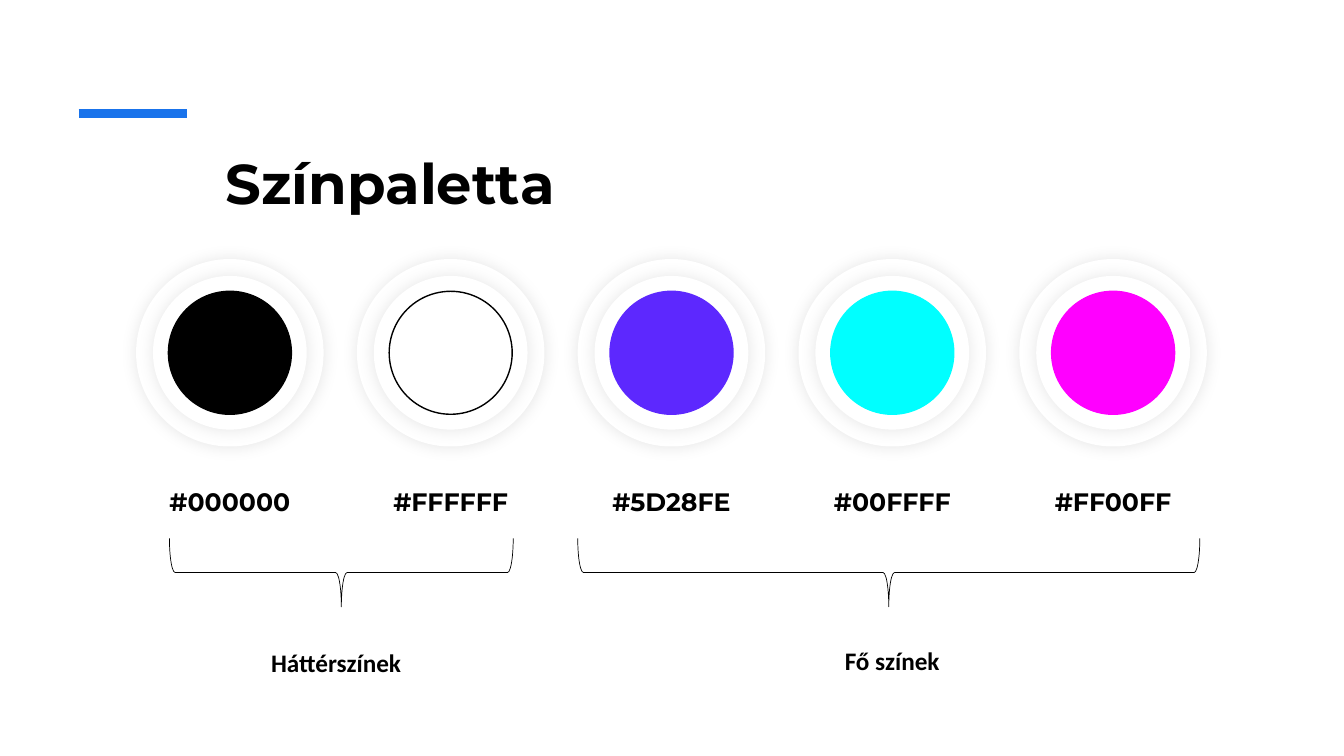
from dataclasses import dataclass

from lxml import etree
from pptx import Presentation, util as u
from pptx.dml.color import RGBColor
from pptx.enum import shapes as sh, text as tx
from pptx.oxml.ns import qn


@dataclass(frozen=True)
class Theme:
    ink: str = "000000"
    paper: str = "FFFFFF"
    accent: str = "1973EB"
    head: str = "Montserrat"
    body: str = "Calibri"
    title: int = 40
    label: int = 18


T = Theme()
WIDE, HIGH = 13.33, 7.5
COLORS = ["000000", "FFFFFF", "5D28FE", "00FFFF", "FF00FF"]
EDGES = {"FFFFFF": T.ink}
PITCH, DISC = 2.19, 1.86


def inch(*vals):
    return [u.Inches(v) for v in vals]


def effects(shape):
    return etree.SubElement(shape._element.spPr, qn("a:effectLst"))


def glow(shape):
    """Add a soft, centred shadow."""
    shadow = etree.SubElement(effects(shape), qn("a:outerShdw"),
                              blurRad=str(u.Pt(12)), dist="0", dir="0",
                              algn="ctr", rotWithShape="0")
    color = etree.SubElement(shadow, qn("a:srgbClr"), val=T.ink)
    etree.SubElement(color, qn("a:alpha"), val="10000")


def write(shape, words, size=T.label, font=T.head, align=tx.PP_ALIGN.CENTER,
          anchor=tx.MSO_ANCHOR.TOP):
    frame = shape.text_frame
    frame.word_wrap = True
    frame.vertical_anchor = anchor
    para = frame.paragraphs[0]
    para.alignment = align
    run = para.add_run()
    run.text = words
    run.font.name, run.font.size, run.font.bold = font, u.Pt(size), True
    run.font.color.rgb = RGBColor.from_string(T.ink)


def label(slide, box, words, **style):
    write(slide.shapes.add_textbox(*inch(*box)), words, **style)


def draw(slide, kind, box, fill, edge=None, weight=1.0, soft=False):
    shape = slide.shapes.add_shape(kind, *inch(*box))
    shape.fill.solid()
    shape.fill.fore_color.rgb = RGBColor.from_string(fill)
    if edge:
        shape.line.color.rgb = RGBColor.from_string(edge)
        shape.line.width = u.Pt(weight)
    else:
        shape.line.fill.background()
    if soft:
        glow(shape)
    else:
        shape.shadow.inherit = False
    return shape


def header(slide, x, y, w, h):
    """Place the accent rule on the top left edge and the title below it."""
    rule = slide.shapes.add_connector(sh.MSO_CONNECTOR.STRAIGHT,
                                      *inch(x, y, x + 1.07, y))
    rule.line.color.rgb = RGBColor.from_string(T.accent)
    rule.line.width = u.Pt(6)
    effects(rule)
    title = slide.shapes.title
    title.left, title.top, title.width, title.height = inch(
        x + 1.36, y + 0.29, w - 1.36, h - 0.29)
    write(title, "Színpaletta", size=T.title, align=tx.PP_ALIGN.LEFT,
          anchor=tx.MSO_ANCHOR.MIDDLE)


def swatch(slide, x, y, size, color):
    """Nest two soft white rings and a colour disc, with the code below."""
    rings = [(1, T.paper, None), (0.82, T.paper, None),
             (0.656, color, EDGES.get(color, color))]
    for share, fill, edge in rings:
        gap = size * (1 - share) / 2
        draw(slide, sh.MSO_SHAPE.OVAL,
             (x + gap, y + gap, size * share, size * share),
             fill, edge, soft=edge is None)
    label(slide, (x, y + 2.21, size, 0.4), f"#{color}")


def group(slide, x, y, w, h, words, at, width):
    """Draw a brace that opens upward over the box, and its caption."""
    brace = draw(slide, sh.MSO_SHAPE.RIGHT_BRACE,
                 (x + (w - h) / 2, y + (h - w) / 2, h, w),
                 T.paper, T.ink, 0.5)
    brace.rotation = 90
    label(slide, (*at, width, 0.4), words, font=T.body,
          align=tx.PP_ALIGN.LEFT)


def palette(slide, x, y):
    for col, color in enumerate(COLORS):
        swatch(slide, x + col * PITCH, y, DISC, color)
    low = y + 2.77
    group(slide, x + 0.33, low, 3.41, 0.68, "Háttérszínek",
          (x + 1.24, low + 1.03), 1.58)
    group(slide, x + 2 * PITCH, low, 6.17, 0.68, "Fő színek",
          (x + 6.93, low + 1.01), 1.15)


def main():
    deck = Presentation()
    deck.slide_width, deck.slide_height = inch(WIDE, HIGH)
    slide = deck.slides.add_slide(deck.slide_layouts[5])
    header(slide, 0.78, HIGH * 0.15, 9.11, 1.07)
    palette(slide, 1.35, 2.57)
    deck.save("out.pptx")


if __name__ == "__main__":
    main()
